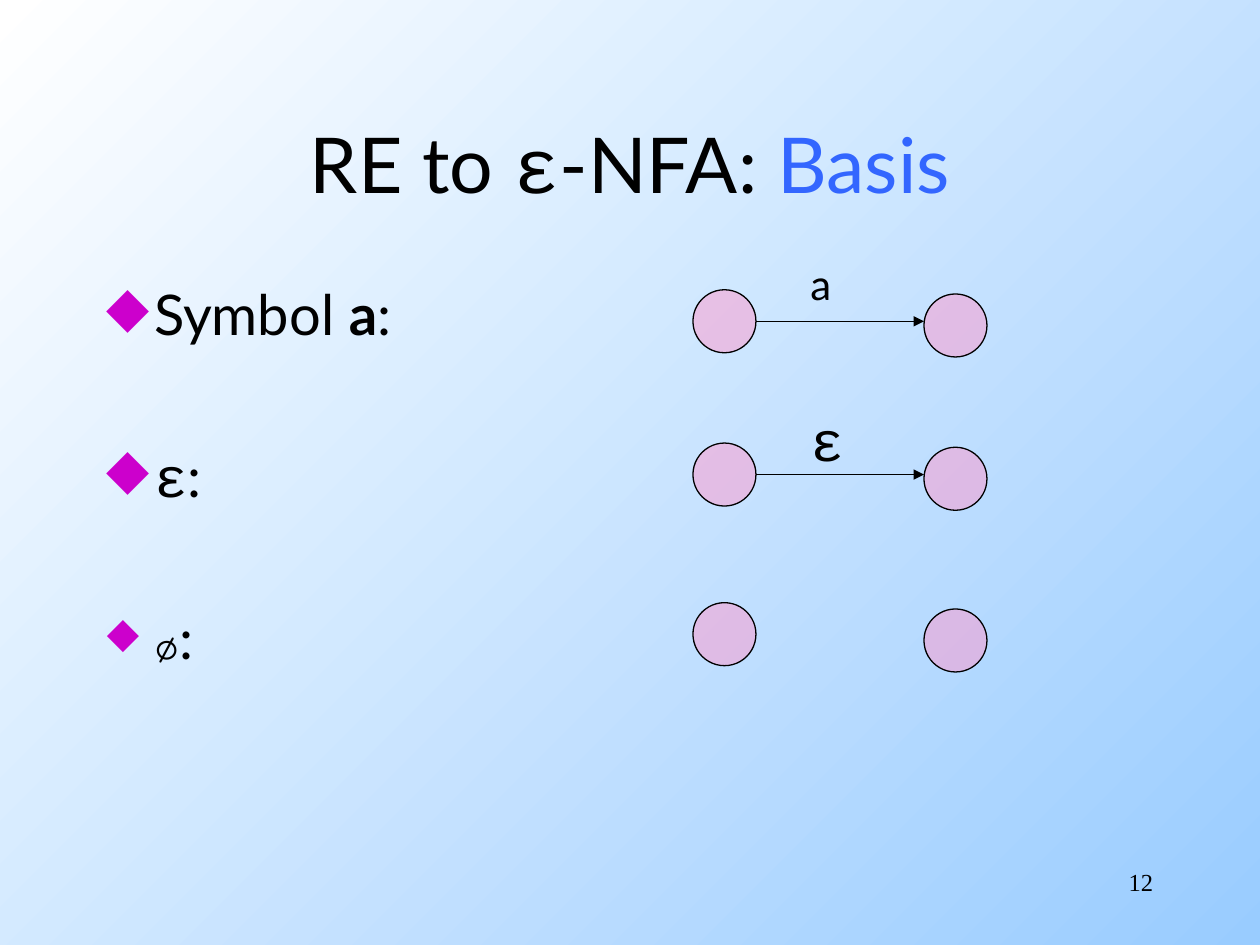
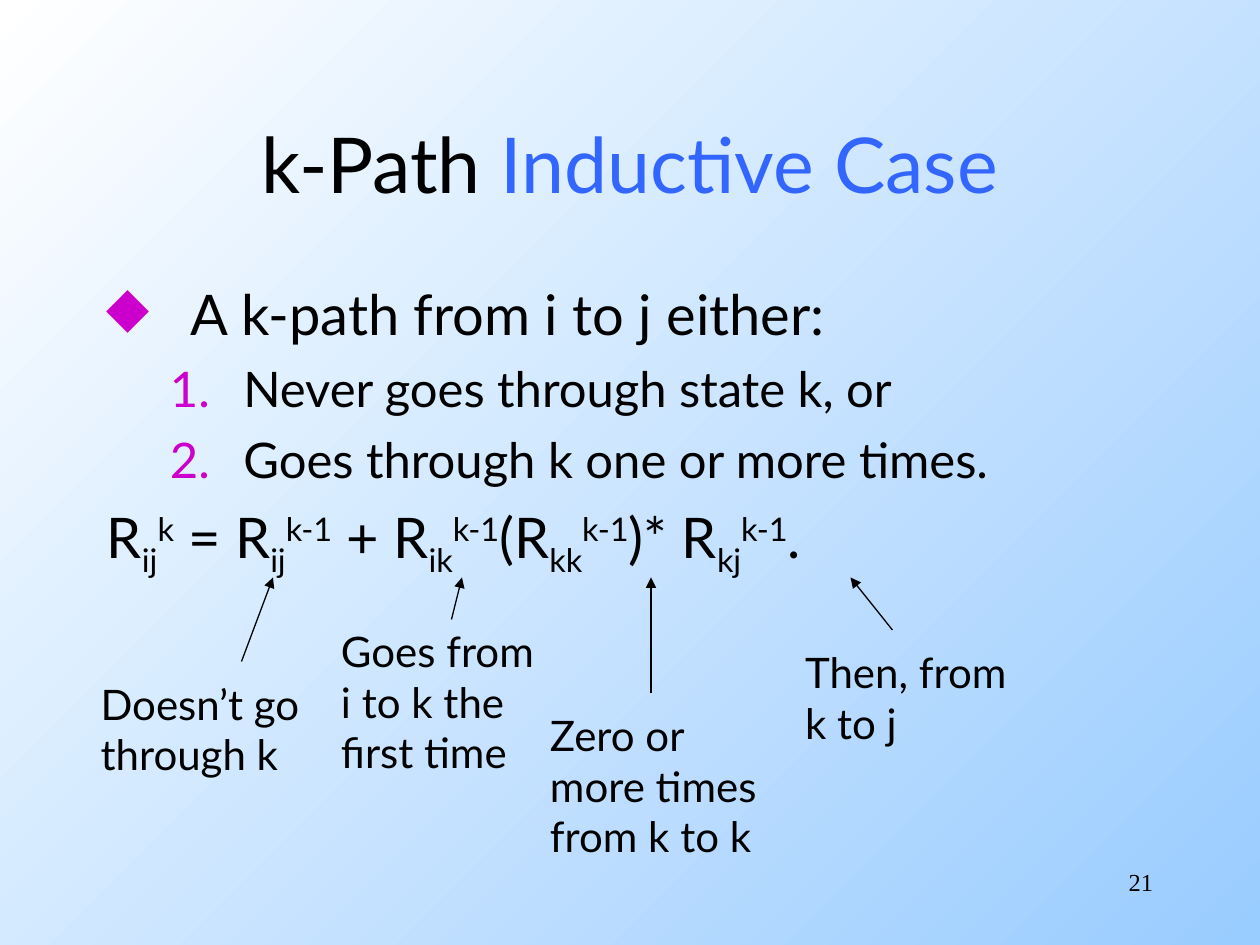
"""Build two automata-theory slides: the epsilon-NFA basis and the k-path induction."""
from lxml import etree
from pptx import Presentation
from pptx.dml.color import RGBColor
from pptx.enum.shapes import MSO_CONNECTOR, MSO_SHAPE
from pptx.enum.text import MSO_ANCHOR, MSO_AUTO_SIZE, PP_ALIGN
from pptx.oxml.ns import qn
from pptx.util import Inches, Pt

BLACK = RGBColor(0x00, 0x00, 0x00)
WHITE = RGBColor(0xFF, 0xFF, 0xFF)
SKY = RGBColor(0x99, 0xCC, 0xFF)
BLUE = RGBColor(0x33, 0x66, 0xFF)
PURPLE = RGBColor(0xCC, 0x00, 0xCC)
PINK = RGBColor(0xFF, 0x99, 0xCC)

LATO, COURIER, TIMES = "Lato", "Courier New", "Times New Roman"
LEFT, CENTER, RIGHT = PP_ALIGN.LEFT, PP_ALIGN.CENTER, PP_ALIGN.RIGHT
TOP, MIDDLE = MSO_ANCHOR.TOP, MSO_ANCHOR.MIDDLE
GROW = MSO_AUTO_SIZE.SHAPE_TO_FIT_TEXT
ELLIPSE, STRAIGHT = MSO_SHAPE.OVAL, MSO_CONNECTOR.STRAIGHT

COLUMNS, ROWS = 120, 90
STATE_SIZE = 6
START_COLUMN, ACCEPT_COLUMN = 66, 88


class Lecture:
    """Holds the deck style and the page being drawn."""

    def __init__(self):
        self.deck = Presentation()
        self.deck.slide_width, self.deck.slide_height = Inches(10), Inches(7.5)
        self.page = None

    def x(self, column):
        return round(self.deck.slide_width * column / COLUMNS)

    def y(self, row):
        return round(self.deck.slide_height * row / ROWS)

    def add_page(self, number, title):
        self.page = self.deck.slides.add_slide(self.deck.slide_layouts[6])
        fill = self.page.background.fill
        fill.gradient()
        fill.gradient_angle = 315
        for stop, color, position in zip(fill.gradient_stops, (WHITE, SKY), (0, 1)):
            stop.color.rgb, stop.position = color, position
        frame = self.box(86, 82, 25, 6)
        self.para(frame, [(str(number), {})], 14, font=TIMES, align=RIGHT)
        frame = self.box(9, 8, 102, 15, anchor=MIDDLE)
        self.para(frame, title, 44, align=CENTER)

    def box(self, column, row, width, height, anchor=TOP, wrap=True):
        box = self.page.shapes.add_textbox(
            self.x(column), self.y(row), self.x(width), self.y(height))
        frame = box.text_frame
        frame.word_wrap, frame.vertical_anchor = wrap, anchor
        if not wrap:
            frame.auto_size = GROW
        return frame

    def body(self):
        return self.box(9, 26, 102, 54)

    def para(self, frame, spans, size, font=LATO, align=LEFT, before=0,
             indent=None, bullet=None, level=0):
        first = frame.paragraphs[0]
        para = frame.add_paragraph() if first.runs else first
        para.alignment, para.level = align, level
        if para is not first:
            para.space_before = Pt(before)
        properties = para._p.get_or_add_pPr()
        if indent:
            margin, hanging = indent
            properties.set("marL", str(self.x(margin)))
            properties.set("indent", str(-self.x(hanging)))
        if bullet:
            color = etree.SubElement(properties, qn("a:buClr"))
            etree.SubElement(color, qn("a:srgbClr"), val=str(PURPLE))
            tag, attribute = bullet
            etree.SubElement(properties, qn(tag), attribute)
        para.font.name, para.font.size = font, Pt(size)
        para.font.color.rgb = BLACK
        for text, style in spans:
            self.span(para, text, **style)

    def span(self, para, text, font=None, size=None, color=None, bold=None, shift=None):
        span = para.add_run()
        span.text = text
        if font:
            span.font.name = font
        if size:
            span.font.size = Pt(size)
        if color:
            span.font.color.rgb = color
        if bold:
            span.font.bold = True
        if shift:
            span._r.get_or_add_rPr().set("baseline", str(shift * 1000))

    def state(self, column, row):
        state = self.page.shapes.add_shape(
            ELLIPSE, self.x(column), self.y(row), self.x(STATE_SIZE), self.y(STATE_SIZE))
        state.shadow.inherit = False
        state.fill.solid()
        state.fill.fore_color.rgb = PINK
        color = state._element.spPr.find(qn("a:solidFill"))[0]
        etree.SubElement(color, qn("a:alpha"), val="50000")
        state.line.color.rgb, state.line.width = BLACK, Pt(0.75)

    def arrow(self, start, end):
        points = [place(value) for point in (start, end)
                  for place, value in zip((self.x, self.y), point)]
        arrow = self.page.shapes.add_connector(STRAIGHT, *points)
        arrow.line.color.rgb, arrow.line.width = BLACK, Pt(0.75)
        etree.SubElement(arrow.line._get_or_add_ln(), qn("a:tailEnd"), type="triangle")
        etree.SubElement(arrow._element.spPr, qn("a:effectLst"))

    def label(self, place, lines, size=24, font=LATO):
        frame = self.box(*place, wrap=False)
        for line in lines:
            self.para(frame, [(line, {})], size, font=font)


DIAMOND = ("a:buChar", {"char": "◆"})
NUMBER = ("a:buAutoNum", {"type": "arabicPeriod"})


def draw_basis(lecture):
    lecture.add_page(12, [("RE to ", {}), ("ε", {"font": COURIER}),
                          ("-NFA: ", {}), ("Basis", {"color": BLUE})])
    cases = [
        [("Symbol ", {}), ("a", {"bold": True}), (":", {})],
        [("ε", {"font": COURIER}), (":", {})],
        [("∅", {"font": COURIER, "size": 24}), (":", {})],
    ]
    frame = lecture.body()
    for spans in cases:
        lecture.para(frame, spans, 32, before=54.4, indent=(4.5, 4.5), bullet=DIAMOND)

    for start_row, accept_row in ((27.6, 28), (42.2, 42.6), (57.4, 58)):
        lecture.state(START_COLUMN, start_row)
        lecture.state(ACCEPT_COLUMN, accept_row)
    for arrow_row in (30.6, 45.2):
        lecture.arrow((START_COLUMN + STATE_SIZE, arrow_row), (ACCEPT_COLUMN, arrow_row))
    lecture.label((76, 24, 4.6, 6), ["a"])
    lecture.label((76, 38, 5, 7.7), ["ε"], size=32, font=COURIER)


def draw_induction(lecture):
    lecture.add_page(21, [("k-Path ", {}), ("Inductive Case", {"color": BLUE})])
    frame = lecture.body()
    lecture.para(frame, [("A k-path from i to j either:", {})], 32,
                 indent=(8, 8), bullet=DIAMOND)
    for choice in ("Never goes through state k, or", "Goes through k one or more times."):
        lecture.para(frame, [(choice, {})], 28, before=7,
                     indent=(13, 7), bullet=NUMBER, level=1)
    terms = [("R", "ij", "k"), (" = R", "ij", "k-1"), (" + R", "ik", "k-1"),
             ("(R", "kk", "k-1"), (")* R", "kj", "k-1")]
    formula = [(text, {"shift": shift}) for term in terms
               for text, shift in zip(term, (0, -25, 30))]
    lecture.para(frame, formula + [(".", {})], 32, before=8, indent=(8, 8))

    notes = [
        ((8.4, 64, 22.4, 10.8), ["Doesn’t go", "through k"], (23, 63), 26),
        ((31.3, 59, 22.1, 15.6), ["Goes from", "i to k the", "first time"], (43, 59), 44),
        ((51.2, 67, 23.9, 15.6), ["Zero or", "more times", "from k to k"], (62, 66), 62),
        ((75.5, 61, 23, 10.8), ["Then, from", "k to j"], (85, 60), 81),
    ]
    for place, lines, start, target_column in notes:
        lecture.label(place, lines)
        lecture.arrow(start, (target_column, 55))


def main():
    lecture = Lecture()
    draw_basis(lecture)
    draw_induction(lecture)
    lecture.deck.save("out.pptx")


if __name__ == "__main__":
    main()
